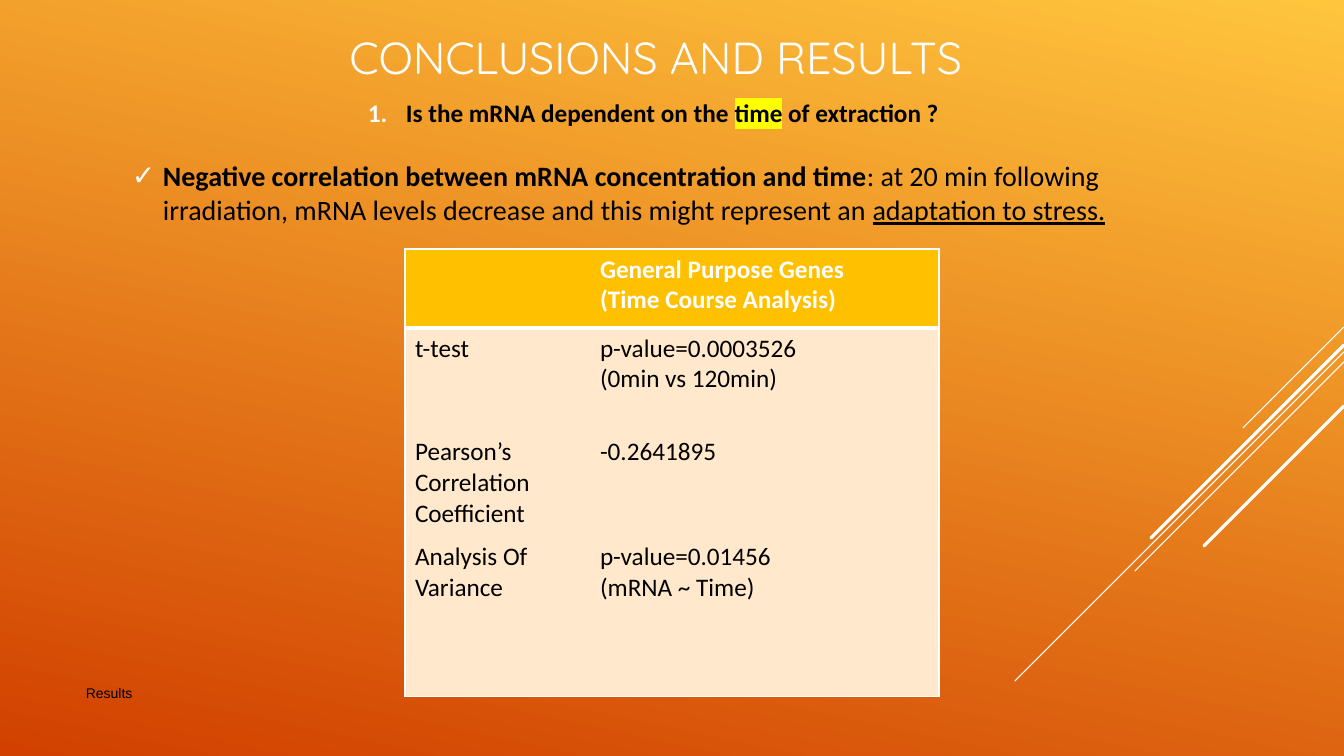
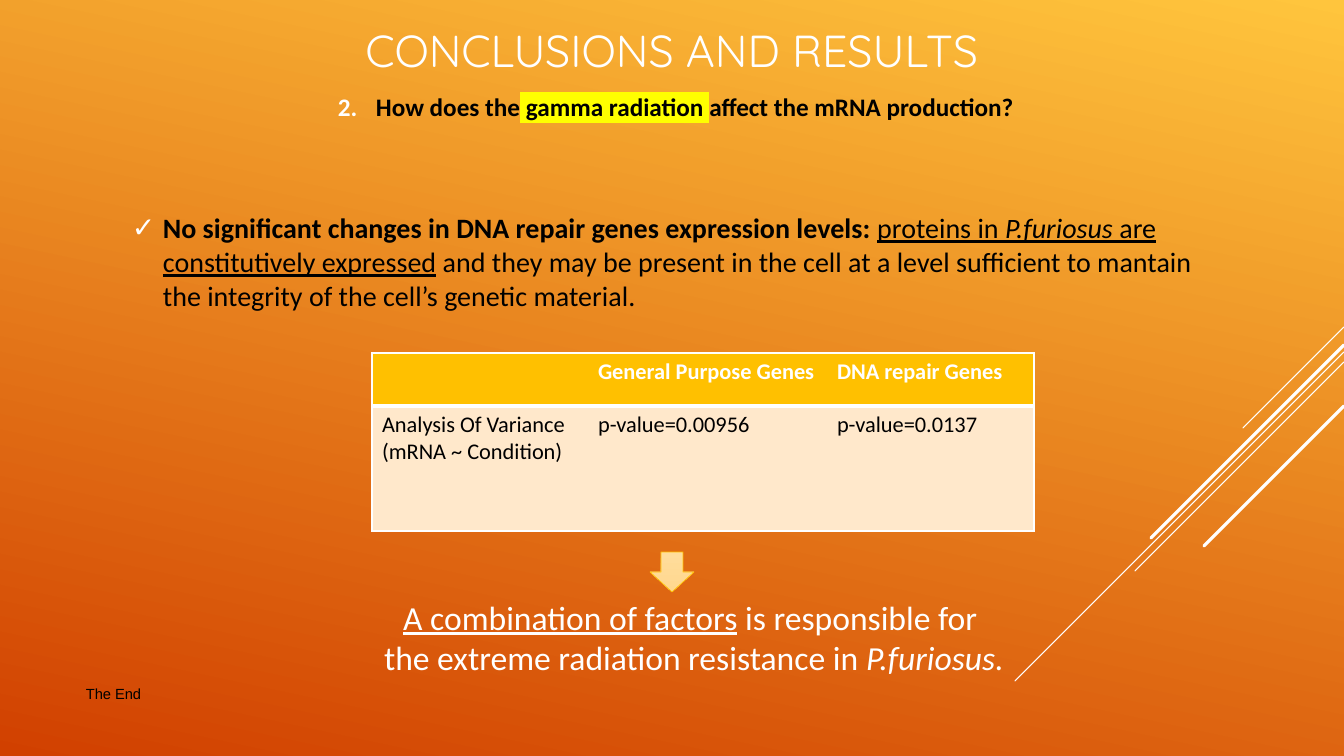
from typing import NamedTuple, Optional

from lxml.etree import SubElement
from pptx import Presentation
from pptx.dml.color import RGBColor
from pptx.enum.shapes import MSO_CONNECTOR, MSO_SHAPE
from pptx.enum.text import MSO_ANCHOR, PP_ALIGN
from pptx.oxml.ns import qn
from pptx.util import Emu, Pt

WIDE, HIGH = 1344, 756
SCALE = 914400 / 100.8
INK = {
    "white": "FFFFFF", "black": "000000", "mark": "FFFF00",
    "sun": "FFC53D", "rust": "D14000", "gold": "FFC000", "cream": "FFE8CB",
    "pale": "FFDD9C", "sand": "FFD78E",
}
PLAIN = "{2D5ABB26-0587-4C30-8999-92F81FD0307C}"


class Place(NamedTuple):
    left: int
    top: int
    width: int
    height: int


class Ray(NamedTuple):
    top: int
    reach: int
    weight: float


class Piece(NamedTuple):
    text: str
    bold: bool = False
    under: bool = False
    slant: bool = False
    mark: Optional[str] = None


class Bullet(NamedTuple):
    indent: int
    sign: str = ""
    start: int = 1


class Grid(NamedTuple):
    left: int
    top: int
    cols: list[int]
    rows: list[int]
    size: float
    cells: list[list[str]]


class Page(NamedTuple):
    title: Place
    ask: Place
    number: int
    query: list[Piece]
    body: Place
    claim: list[Piece]
    grid: Grid
    foot: str
    small: float


RAYS = [Ray(327, 101, 0.75), Ray(352, 329, 0.75), Ray(362, 209, 0.75),
        Ray(345, 193, 2.25), Ray(406, 140, 2.25)]

PAGES = [
    Page(
        Place(292, 22, 728, 70), Place(358, 92, 620, 40), 1,
        [Piece("Is the mRNA dependent on the ", bold=True),
         Piece("time", bold=True, mark="mark"),
         Piece(" of extraction ?", bold=True)],
        Place(122, 154, 1066, 80),
        [Piece("Negative correlation between mRNA concentration and time", bold=True),
         Piece(": at 20 min following irradiation, mRNA levels decrease "
               "and this might represent an "),
         Piece("adaptation to stress.", under=True)],
        Grid(405, 249, [185, 349], [79, 104, 105, 160], 18, [
            ["", "General Purpose Genes\n(Time Course Analysis)"],
            ["t-test", "p-value=0.0003526\n(0min vs 120min)"],
            ["Pearson’s Correlation Coefficient", "-0.2641895"],
            ["Analysis Of Variance", "p-value=0.01456\n(mRNA ~ Time)"],
        ]),
        "Results", 10,
    ),
    Page(
        Place(308, 15, 728, 70), Place(328, 86, 751, 40), 2,
        [Piece("How does the", bold=True),
         Piece(" gamma radiation ", bold=True, mark="mark"),
         Piece("affect the mRNA production?", bold=True)],
        Place(122, 206, 1099, 114),
        [Piece("No significant changes in DNA repair genes expression levels: ",
               bold=True),
         Piece("proteins in ", under=True),
         Piece("P.furiosus", under=True, slant=True),
         Piece(" are constitutively expressed", under=True),
         Piece(" and they may be present in the cell at a level sufficient to "
               "mantain the integrity of the cell’s genetic material.")],
        Grid(372, 353, [216, 239, 207], [53, 125], 16, [
            ["", "General Purpose Genes", "DNA repair Genes"],
            ["Analysis Of Variance\n(mRNA ~ Condition)", "p-value=0.00956",
             "p-value=0.0137"],
        ]),
        "The End", 10.5,
    ),
]

CLOSE = [
    [Piece("A combination of factors", under=True), Piece(" is responsible for ")],
    [Piece("the extreme radiation resistance in "), Piece("P.furiosus.", slant=True)],
]


def px(count: float) -> Emu:
    return Emu(round(count * SCALE))


def tint(name: str) -> RGBColor:
    return RGBColor.from_string(INK[name])


def blend(fill, first: str, last: str, angle: float) -> None:
    fill.gradient()
    fill.gradient_angle = 360 - angle
    for stop, name, spot in zip(fill.gradient_stops, (first, last), (0, 1)):
        stop.color.rgb = tint(name)
        stop.position = spot


def write(par, text: str, *, size: float, face: str = "Calibri", ink: str = "black",
          bold: bool = False, under: bool = False, slant: bool = False,
          mark: Optional[str] = None) -> None:
    run = par.add_run()
    run.text = text
    font = run.font
    font.name, font.size = face, Pt(size)
    font.bold, font.underline, font.italic = bold, under, slant
    font.color.rgb = tint(ink)
    if mark:
        props = run._r.get_or_add_rPr()
        glow = SubElement(props, qn("a:highlight"))
        SubElement(glow, qn("a:srgbClr"), val=INK[mark])
        props.find(qn("a:latin")).addprevious(glow)


def point(par, bullet: Bullet) -> None:
    props = par._p.get_or_add_pPr()
    step = px(bullet.indent)
    props.set("marL", str(step))
    props.set("indent", str(-step))
    shade = SubElement(props, qn("a:buClr"))
    SubElement(shade, qn("a:srgbClr"), val=INK["white"])
    if bullet.sign:
        SubElement(props, qn("a:buFont"), typeface="Arial")
        SubElement(props, qn("a:buChar"), char=bullet.sign)
    else:
        SubElement(props, qn("a:buAutoNum"), type="arabicPeriod",
                   startAt=str(bullet.start))


def box(slide, place: Place, lines: list[list[Piece]], *, align=PP_ALIGN.LEFT,
        anchor=MSO_ANCHOR.TOP, bullet: Optional[Bullet] = None, **form) -> None:
    frame = slide.shapes.add_textbox(*map(px, place)).text_frame
    frame.word_wrap = True
    frame.vertical_anchor = anchor
    for rank, line in enumerate(lines):
        par = frame.add_paragraph() if rank else frame.paragraphs[0]
        par.alignment = align
        if bullet:
            point(par, bullet)
        for piece in line:
            write(par, **piece._asdict(), **form)


def edge(cell, side: str, weight: float) -> None:
    line = SubElement(cell._tc.get_or_add_tcPr(), qn(f"a:ln{side}"),
                      w=str(Pt(weight)))
    if weight:
        fill = SubElement(line, qn("a:solidFill"))
        SubElement(fill, qn("a:srgbClr"), val=INK["white"])
    else:
        SubElement(line, qn("a:noFill"))


def chart(slide, grid: Grid) -> None:
    place = Place(grid.left, grid.top, sum(grid.cols), sum(grid.rows))
    deep, span = len(grid.rows), len(grid.cols)
    table = slide.shapes.add_table(deep, span, *map(px, place)).table
    table.horz_banding = False
    table._tbl.tblPr.find(qn("a:tableStyleId")).text = PLAIN
    for col, width in zip(table.columns, grid.cols):
        col.width = px(width)
    for row, height in zip(table.rows, grid.rows):
        row.height = px(height)
    for y, texts in enumerate(grid.cells):
        for x, text in enumerate(texts):
            cell, head = table.cell(y, x), y == 0
            edge(cell, "L", int(x == 0))
            edge(cell, "R", int(x == span - 1))
            edge(cell, "T", 1 if head else 3 if y == 1 else 0)
            edge(cell, "B", 3 if head else int(y == deep - 1))
            cell.fill.solid()
            cell.fill.fore_color.rgb = tint("gold" if head else "cream")
            frame = cell.text_frame
            for rank, line in enumerate(text.split("\n") if text else []):
                par = frame.add_paragraph() if rank else frame.paragraphs[0]
                write(par, line, size=grid.size, bold=head,
                      ink="white" if head else "black")


def beam(slide, ray: Ray) -> None:
    line = slide.shapes.add_connector(
        MSO_CONNECTOR.STRAIGHT, px(WIDE), px(ray.top),
        px(WIDE - ray.reach), px(ray.top + ray.reach))
    line.line.color.rgb = tint("white")
    line.line.width = Pt(ray.weight)
    props = line._element.spPr
    props.find(qn("a:ln")).set("cap", "rnd")
    SubElement(props, qn("a:effectLst"))


def arrow(slide, place: Place) -> None:
    shape = slide.shapes.add_shape(MSO_SHAPE.DOWN_ARROW, *map(px, place))
    shape.shadow.inherit = False
    blend(shape.fill, "pale", "sand", 90)
    shape.line.color.rgb = tint("gold")
    shape.line.width = Pt(0.5)


def build(deck, page: Page):
    slide = deck.slides.add_slide(deck.slide_layouts[6])
    blend(slide.background.fill, "sun", "rust", 102)
    for ray in RAYS:
        beam(slide, ray)
    box(slide, page.title, [[Piece("CONCLUSIONS AND RESULTS")]], size=32,
        face="Quicksand", ink="white", align=PP_ALIGN.CENTER,
        anchor=MSO_ANCHOR.MIDDLE)
    box(slide, page.ask, [page.query], size=18,
        bullet=Bullet(38, start=page.number))
    box(slide, page.body, [page.claim], size=20, bullet=Bullet(31, sign="✓"))
    chart(slide, page.grid)
    box(slide, Place(76, 680, 832, 40), [[Piece(page.foot)]], size=page.small,
        face="Arial")
    return slide


def main() -> None:
    deck = Presentation()
    deck.slide_width, deck.slide_height = px(WIDE), px(HIGH)
    slides = [build(deck, page) for page in PAGES]
    arrow(slides[-1], Place(650, 552, 44, 40))
    box(slides[-1], Place(60, 592, 1268, 92), CLOSE, size=24, ink="white",
        align=PP_ALIGN.CENTER)
    deck.save("out.pptx")


main()
